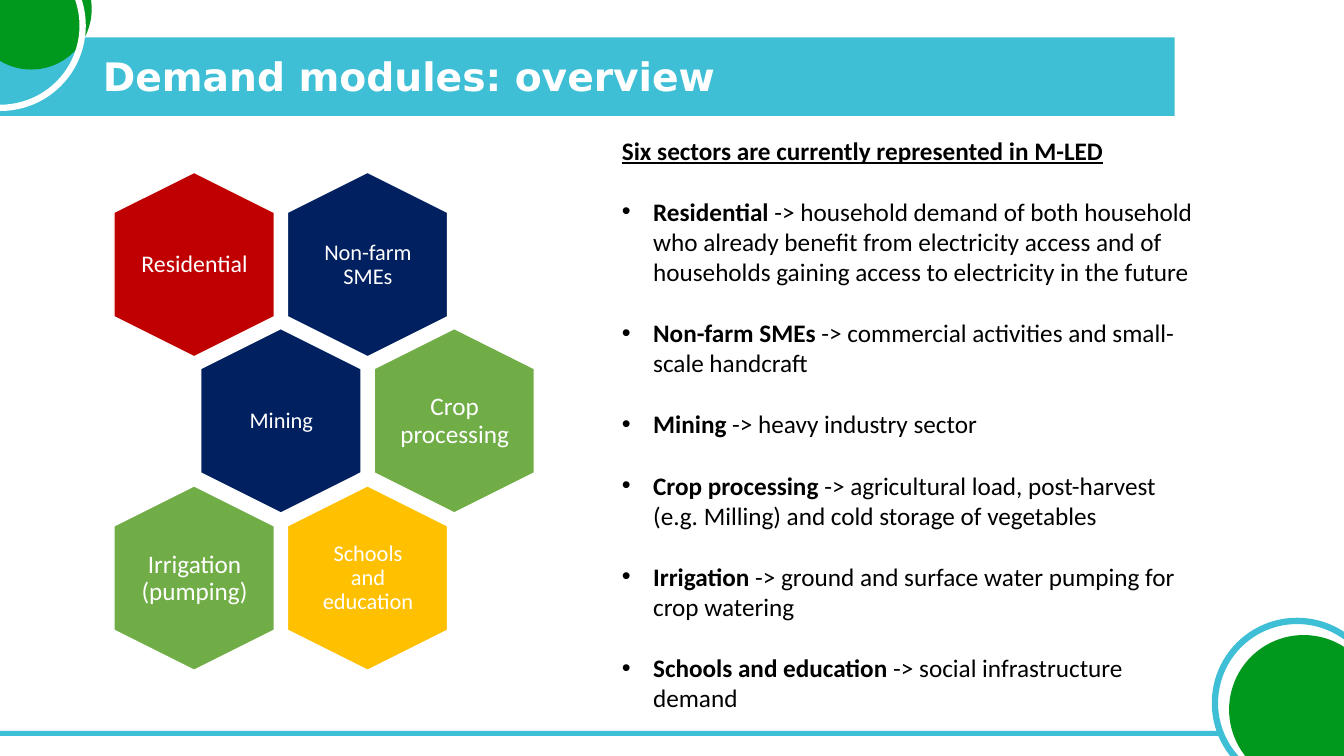
"""Build the slide that presents the six demand modules as a honeycomb and a list."""
from lxml.etree import SubElement
from pptx import Presentation
from pptx.dml.color import RGBColor
from pptx.enum.shapes import MSO_SHAPE
from pptx.enum.text import MSO_ANCHOR, MSO_AUTO_SIZE, PP_ALIGN
from pptx.oxml.ns import qn
from pptx.util import Pt

PX = 9144
COLORS = {
    "teal": "3EBFD6", "leaf": "00991D", "white": "FFFFFF", "black": "000000",
    "navy": "002060", "red": "C00000", "green": "70AD47", "amber": "FFC000",
}
MODULES = [
    ("Residential", 0, 0, "red", 17, 0),
    ("Non-farm SMEs", 0, 1, "navy", 16, 7),
    ("Mining", 1, 0, "navy", 16, 7),
    ("Crop processing", 1, 1, "green", 18, 0),
    ("Irrigation (pumping)", 2, 0, "green", 18, 0),
    ("Schools and education", 2, 1, "amber", 16, 7),
]
SECTORS = [
    ("Residential", "household demand of both household who already benefit from "
     "electricity access and of households gaining access to electricity in the future"),
    ("Non-farm SMEs", "commercial activities and small-scale handcraft"),
    ("Mining", "heavy industry sector"),
    ("Crop processing", "agricultural load, post-harvest (e.g. Milling) and cold storage "
     "of vegetables"),
    ("Irrigation", "ground and surface water pumping for crop watering"),
    ("Schools and education", "social infrastructure demand"),
]


def color(name):
    return RGBColor.from_string(COLORS[name])


def assign(target, values):
    for key, value in values.items():
        setattr(target, key, value)


class SlideBuilder:
    def __init__(self, page, font):
        self.page = page
        self.font = font

    def place(self, item, left, top, width, height):
        assign(item, {"left": left * PX, "top": top * PX,
                      "width": width * PX, "height": height * PX})

    def frame(self, item, inset=None, anchor=MSO_ANCHOR.TOP):
        frame = item.text_frame
        assign(frame, {"word_wrap": True, "auto_size": MSO_AUTO_SIZE.NONE,
                       "vertical_anchor": anchor})
        if inset is not None:
            sides = ("left", "top", "right", "bottom")
            assign(frame, {f"margin_{side}": inset * PX for side in sides})
        return frame

    def span(self, para, text, size, ink="black", font=None, **style):
        span = para.add_run()
        span.text = text
        assign(span.font, {"name": font or self.font, "size": Pt(size), **style})
        span.font.color.rgb = color(ink)

    def shape(self, kind, bounds, fill=None, line=None, weight=1, rotation=0):
        shape = self.page.shapes.add_shape(kind, *(value * PX for value in bounds))
        shape.shadow.inherit = False
        shape.rotation = rotation
        if fill:
            shape.fill.solid()
            shape.fill.fore_color.rgb = color(fill)
        else:
            shape.fill.background()
        if line:
            shape.line.color.rgb = color(line)
            shape.line.width = Pt(weight)
        else:
            shape.line.fill.background()

    def title(self, text, bounds):
        title = self.page.shapes.title
        self.place(title, *bounds)
        para = self.frame(title, anchor=MSO_ANCHOR.MIDDLE).paragraphs[0]
        assign(para, {"alignment": PP_ALIGN.LEFT, "line_spacing": 0.9})
        self.span(para, text, 28, "white", "DejaVu Sans", bold=True)
        title._element.getparent().append(title._element)

    def text_box(self, bounds, **layout):
        box = self.page.shapes.add_textbox(*(value * PX for value in bounds))
        return self.frame(box, **layout)

    def module(self, name, row, column, fill, size, inset):
        left = 101 + 172 * column + 86 * (row % 2)
        top = 183 + 311 * row // 2
        self.shape(MSO_SHAPE.HEXAGON, (left, top, 183, 159), fill, "white", rotation=90)
        label = self.text_box((left + 37, top + 17, 110, 126),
                              inset=inset, anchor=MSO_ANCHOR.MIDDLE)
        para = label.paragraphs[0]
        assign(para, {"alignment": PP_ALIGN.CENTER, "line_spacing": 0.9})
        self.span(para, name, size, "white")

    def bullet(self, para, indent):
        properties = para._p.get_or_add_pPr()
        properties.set("marL", str(indent * PX))
        properties.set("indent", str(-indent * PX))
        SubElement(properties, qn("a:buFont")).set("typeface", "Arial")
        SubElement(properties, qn("a:buChar")).set("char", "•")

    def sector_list(self, heading, sectors, bounds):
        frame = self.text_box(bounds)
        self.span(frame.paragraphs[0], heading, 18, bold=True, underline=True)
        for name, description in sectors:
            para = frame.add_paragraph()
            para.space_before = Pt(22)
            self.bullet(para, 31)
            self.span(para, name, 18, bold=True)
            self.span(para, f" -> {description}", 18, bold=False)


def main():
    deck = Presentation()
    assign(deck, {"slide_width": 1333 * PX, "slide_height": 750 * PX})
    page = deck.slides.add_slide(deck.slide_layouts.get_by_name("Title Only"))
    builder = SlideBuilder(page, "Calibri")

    for band in [(0, 37, 1165, 78), (0, 725, 1212, 5)]:
        builder.shape(MSO_SHAPE.RECTANGLE, band, "teal")
    for bounds, fill, line in [
        ((1205, 616, 163, 163), None, "teal"),
        ((1219, 630, 148, 148), "leaf", None),
        ((-29, -51, 120, 120), "leaf", None),
        ((-81, -56, 163, 163), None, "white"),
    ]:
        builder.shape(MSO_SHAPE.OVAL, bounds, fill, line, 4.5)

    for module in MODULES:
        builder.module(*module)
    builder.title("Demand modules: overview", (92, 50, 1058, 56))
    builder.sector_list("Six sectors are currently represented in M-LED", SECTORS,
                        (607, 129, 596, 646))
    deck.save("out.pptx")


if __name__ == "__main__":
    main()
